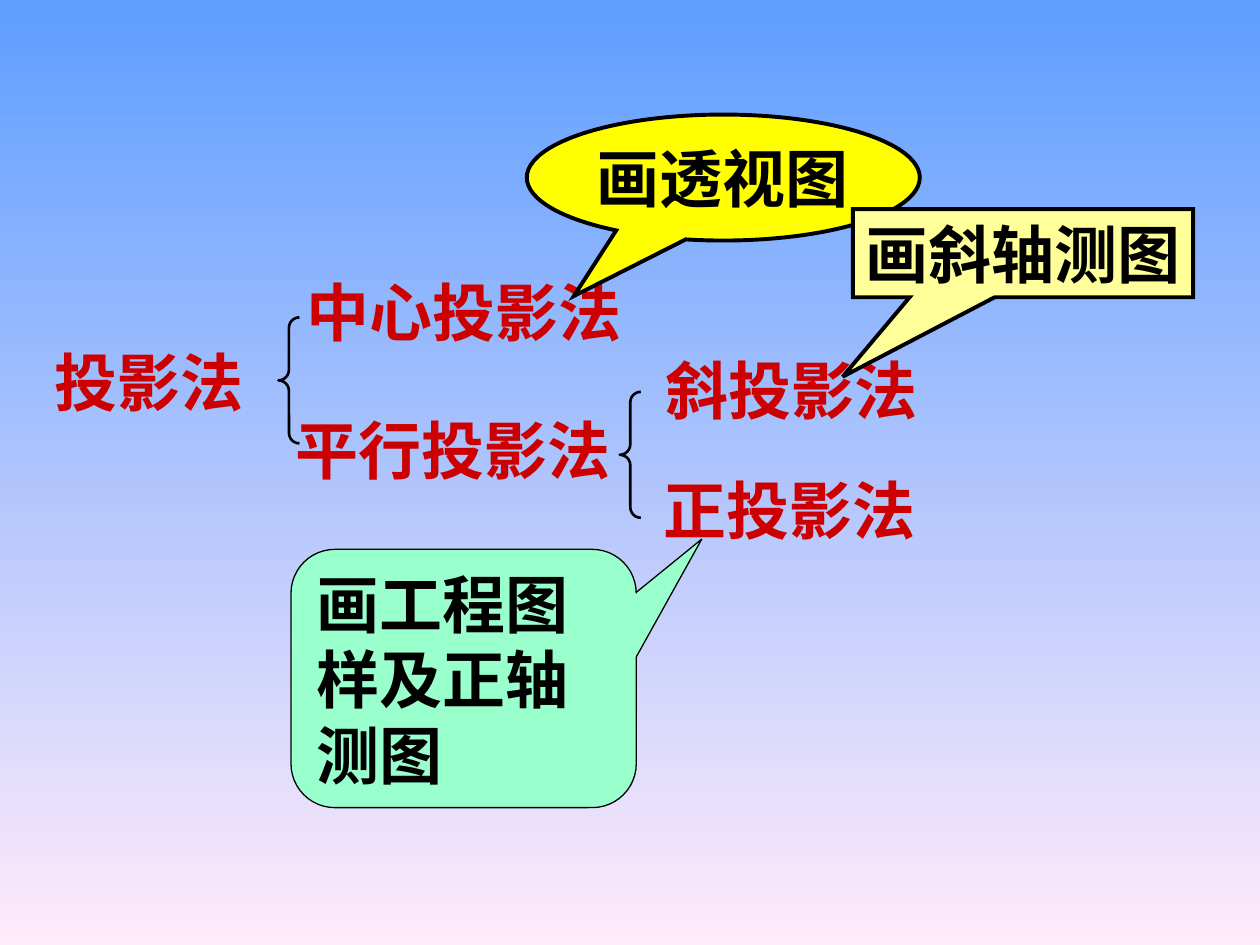
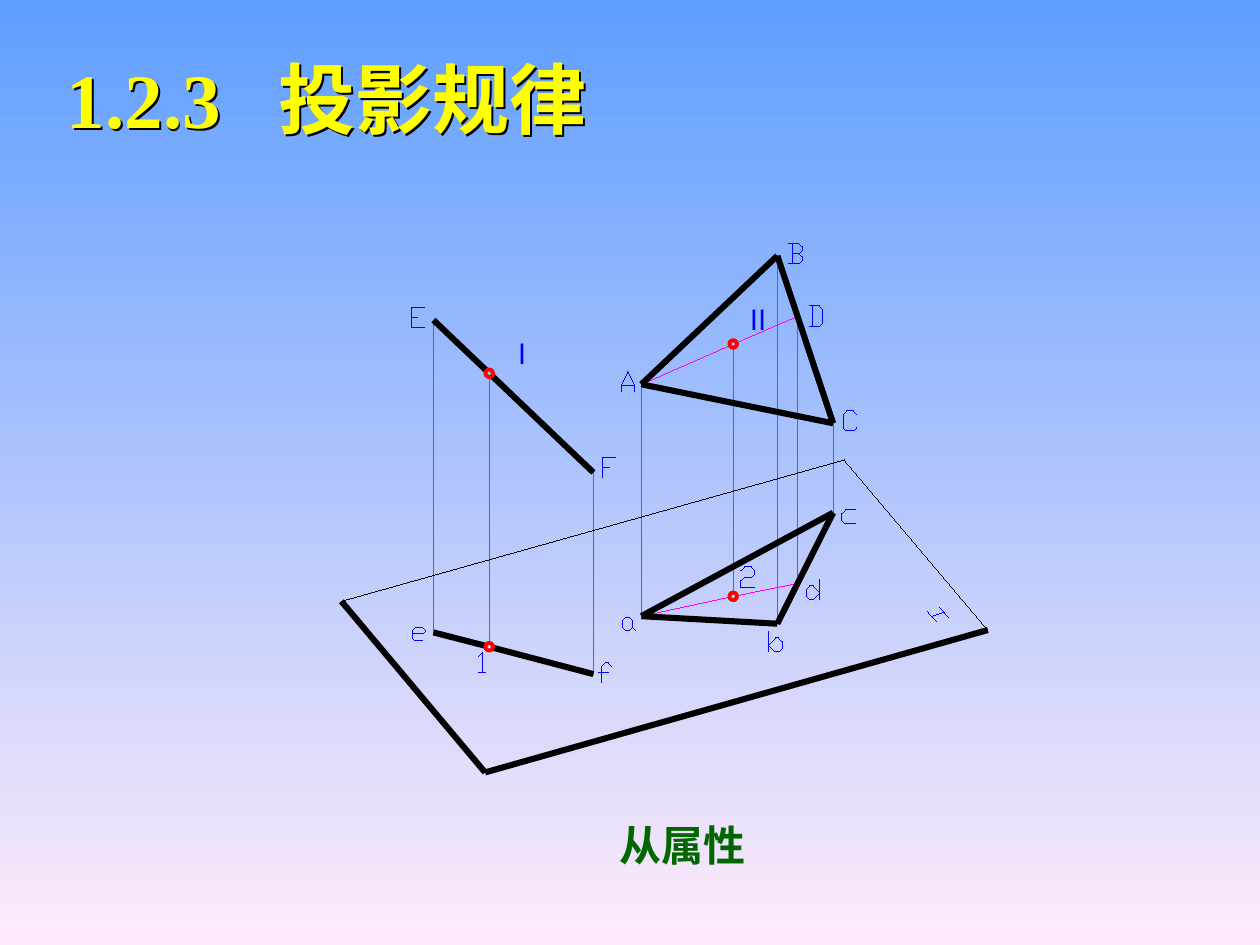
"""Build two slides on projection methods and projection rules."""
import math

import pptx
import pptx.dml.color
import pptx.enum.shapes
import pptx.enum.text
import pptx.oxml
import pptx.oxml.ns
import pptx.util
from lxml import etree

Pt = pptx.util.Pt
qn = pptx.oxml.ns.qn
SHAPE = pptx.enum.shapes.MSO_SHAPE
ALIGN = pptx.enum.text.PP_ALIGN
ANCHOR = pptx.enum.text.MSO_ANCHOR

COLORS = {
    "sky": "5E9EFF", "blush": "FFEBFA", "term": "CC0000", "ink": "000000",
    "yellow": "FFFF00", "cream": "FFFF99", "mint": "99FFCC", "ray": "FF00FF",
    "ring": "FF0000", "letter": "0000FF", "caption": "006600",
}
SERIF, SANS = "Times New Roman", "Noto Sans CJK SC"
HEAVY, HAIR = 3.5, 0
RING = 2.16
UNIT = 1.92

POINTS = {
    "A": (366.5, 219.6), "B": (444.2, 146.2), "C": (476.1, 241.9),
    "D": (455.8, 180.7), "E": (247.7, 182.9), "F": (339.1, 270),
    "M": (279.6, 213.3), "N": (419, 196.6),
    "a": (366.5, 352.1), "b": (444.2, 356.4), "c": (476.1, 293),
    "d": (455.8, 333.4), "e": (247.7, 361.4), "f": (339.1, 385.2),
    "m": (279.6, 369.6), "n": (419, 340.8),
}
RINGS = "MmNn"
PLANE = [(195.1, 343.6), (277.2, 441.4), (564.5, 360), (482.4, 262.8)]
PLANE_LABEL = [((535, 355), (529.9, 349.2)), ((532.8, 352.1), (539.3, 349.9)),
               ((537.1, 347), (542.2, 352.8))]
LETTERS = [
    (234.9, 175.7, ["06 00 40", "03 23", "06 46"]),
    (344.2, 261.2, ["06 00 40", "03 23"]),
    (235.6, 358.4, ["02 32 41 30 10 01 03 14 34"]),
    (342, 378.7, ["03 33", "41 30 20 11 16"]),
    (273.6, 373, ["01 10 16", "06 26"]),
    (355, 212.4, ["06 04 20 44 46", "04 44"]),
    (450.7, 139, ["06 36 45 44 33 13", "33 42 41 30 00", "10 16"]),
    (481.9, 234.7, ["45 36 16 05 01 10 30 41"]),
    (355.7, 352.6, ["24 14 03 01 10 20 31 33 24", "33 44"]),
    (439.2, 360.7, ["06 00", "04 22 32 43 45 36 26 04"]),
    (481, 291.4, ["40 10 01 03 14 44"]),
    (462.4, 174.8, ["06 36 45 41 30 00", "10 16"]),
    (460.8, 331, ["44 26 16 05 03 12 22 44", "40 46"]),
    (423.4, 324, ["01 10 30 41 42 33 13 04 06 46"]),
]


def rgb(name):
    """Return the named colour."""
    return pptx.dml.color.RGBColor.from_string(COLORS[name])


def write(tf, text, size=36, color="term", font=SERIF, bold=True, align=ALIGN.LEFT,
          anchor=ANCHOR.TOP, wrap=True, inset=(7.2, 3.6), tab=None):
    """Put one formatted paragraph into a text frame."""
    tf.word_wrap, tf.vertical_anchor = wrap, anchor
    tf.auto_size = pptx.enum.text.MSO_AUTO_SIZE.NONE
    tf.margin_left = tf.margin_right = Pt(inset[0])
    tf.margin_top = tf.margin_bottom = Pt(inset[1])
    p = tf.paragraphs[0]
    p.alignment = align
    if tab:
        tabs = etree.SubElement(p._p.get_or_add_pPr(), qn("a:tabLst"))
        etree.SubElement(tabs, qn("a:tab"), pos=str(Pt(tab)), algn="l")
    r = p.add_run()
    r.text = text
    r.font.size, r.font.bold, r.font.name = Pt(size), bold, font
    r.font.color.rgb = rgb(color)
    rpr = r._r.get_or_add_rPr()
    rpr.find(qn("a:latin")).addnext(rpr.makeelement(qn("a:ea"), {"typeface": SANS}))


class Deck:
    """Hold the presentation, its style and the current slide."""

    def __init__(self):
        """Set the page size and the shared background."""
        self.prs = pptx.Presentation()
        self.prs.slide_width, self.prs.slide_height = Pt(720), Pt(540)
        fill = self.prs.slide_master.background.fill
        fill.gradient()
        fill.gradient_angle = 270
        for stop, position, name in zip(fill.gradient_stops, (0, 1), ("sky", "blush")):
            stop.position, stop.color.rgb = position, rgb(name)

    def add_slide(self, layout):
        """Start a new slide."""
        self.s = self.prs.slides.add_slide(self.prs.slide_layouts[layout])

    def title(self, text, at, **fmt):
        """Fill and move the title placeholder and give its text a shadow."""
        sp = self.s.shapes.title
        sp.left, sp.top, sp.width, sp.height = map(Pt, at)
        sp.fill.background()
        effects = etree.SubElement(sp._element.spPr, qn("a:effectLst"))
        shadow = etree.SubElement(effects, qn("a:outerShdw"), dist=str(Pt(1.5)),
                                  dir="2700000", algn="ctr", rotWithShape="0")
        etree.SubElement(shadow, qn("a:srgbClr"), val=COLORS["ink"])
        write(sp.text_frame, text, **fmt)

    def text(self, text, at, **fmt):
        """Add a text box."""
        write(self.s.shapes.add_textbox(*map(Pt, at)).text_frame, text, **fmt)

    def stroke(self, sp, color, width):
        """Set the outline of a shape or connector."""
        sp.line.color.rgb = rgb(color)
        sp._element.spPr.find(qn("a:ln")).set("w", str(int(Pt(width))))

    def shape(self, kind, at, color="ink", width=1.5, fill=None, adj=()):
        """Add a preset shape."""
        sp = self.s.shapes.add_shape(kind, *map(Pt, at))
        sp.shadow.inherit = False
        for i, value in enumerate(adj):
            sp.adjustments[i] = value
        if fill:
            sp.fill.solid()
            sp.fill.fore_color.rgb = rgb(fill)
        else:
            sp.fill.background()
        self.stroke(sp, color, width)
        return sp

    def callout(self, kind, text, at, fill, adj, width=2.25, **fmt):
        """Add a speech bubble with text."""
        sp = self.shape(kind, at, width=width, fill=fill, adj=adj)
        etree.SubElement(sp._element.spPr.find(qn("a:ln")), qn("a:miter"), lim="800000")
        write(sp.text_frame, text, color="ink", anchor=ANCHOR.MIDDLE, **fmt)

    def line(self, start, end, color="ink", width=HAIR):
        """Add a straight line."""
        sp = self.s.shapes.add_connector(
            pptx.enum.shapes.MSO_CONNECTOR.STRAIGHT, *map(Pt, (*start, *end)))
        self.stroke(sp, color, width)
        etree.SubElement(sp._element.spPr, qn("a:effectLst"))

    def polyline(self, points, color, width=HAIR):
        """Add an open outline, or a line when there are two points."""
        if len(points) == 2:
            self.line(*points, color, width)
            return
        pts = [(Pt(x), Pt(y)) for x, y in points]
        fb = self.s.shapes.build_freeform(*pts[0])
        fb.add_line_segments(pts[1:], close=False)
        sp = fb.convert_to_shape()
        sp.shadow.inherit = False
        sp.fill.background()
        self.stroke(sp, color, width)

    def edge(self, pair, color="ink", width=HEAVY):
        """Join two named points, stopping short at rings."""
        (x1, y1), (x2, y2) = (POINTS[k] for k in pair)
        length = math.hypot(x2 - x1, y2 - y1)
        dx, dy = (x2 - x1) * RING / length, (y2 - y1) * RING / length
        i, j = (k in RINGS for k in pair)
        self.line((x1 + i * dx, y1 + i * dy), (x2 - j * dx, y2 - j * dy), color, width)


def methods_slide(deck):
    """Draw the tree of projection methods."""
    deck.add_slide(6)
    deck.text("投影法", (23.8, 193, 135.4, 50.4))
    deck.text("中心投影法", (167.8, 152.6, 246.2, 50.4))
    deck.text("平行投影法", (162, 231.8, 194.4, 50.4), wrap=False)
    deck.text("正投影法", (372.2, 265.7, 277.2, 50.4), anchor=ANCHOR.MIDDLE)
    deck.text("斜投影法", (342, 197.3, 221, 50.4), anchor=ANCHOR.MIDDLE, align=ALIGN.CENTER)
    deck.callout(SHAPE.OVAL_CALLOUT, "画透视图", (301, 65.5, 224.6, 72), "yellow",
                 (-0.38, 0.94), wrap=False)
    deck.callout(SHAPE.RECTANGULAR_CALLOUT, "画斜轴测图", (487.4, 119.5, 194.4, 50.4),
                 "cream", (-0.53, 1.4), wrap=False, align=ALIGN.CENTER)
    deck.callout(SHAPE.ROUNDED_RECTANGULAR_CALLOUT, "画工程图样及正轴测图",
                 (166.3, 313.9, 197.3, 147.6), "mint", (0.69, -0.54, 0.17), width=0.75)
    for x, y in ((159.1, 181.4), (354.2, 223.9)):
        deck.shape(SHAPE.LEFT_BRACE, (x, y, 12, 72), adj=(0.5, 0.5))


def rules_slide(deck):
    """Draw a segment and a triangle projected onto a plane."""
    deck.add_slide(5)
    deck.title("1.2.3\t投影规律", (31, 25.9, 360, 60.5), size=44, color="yellow", tab=121)
    for k in "ABCDEFMN":
        deck.edge(k + k.lower(), "ray", HAIR)
    for pair in ("AN", "ND", "an", "nd"):
        deck.edge(pair, "ray", HAIR)
    for pair in ("AB", "BC", "CA", "ab", "bc", "ca", "EM", "MF", "em", "mf"):
        deck.edge(pair)
    for i, width in enumerate((HEAVY, HEAVY, HAIR, HAIR)):
        deck.line(PLANE[i], PLANE[(i + 1) % 4], width=width)
    for k in RINGS:
        x, y = POINTS[k]
        deck.shape(SHAPE.OVAL, (x - RING, y - RING, 2 * RING, 2 * RING), "ring", 2.25)
    for x, y, strokes in LETTERS:
        for stroke in strokes:
            deck.polyline([(x + int(u) * UNIT, y + int(v) * UNIT)
                           for u, v in stroke.split()], "letter")
    for start, end in PLANE_LABEL:
        deck.line(start, end, "letter")
    label = dict(font=SANS, inset=(0, 0), wrap=False, align=ALIGN.CENTER)
    deck.text("从属性", (354.2, 468.3, 72, 28.8), size=24, color="caption", **label)
    for text, at in (("Ⅰ", (296, 192.2, 5, 19.4)), ("Ⅱ", (429.5, 172.8, 7.9, 19.4))):
        deck.text(text, at, size=16, color="letter", bold=False, **label)


def main():
    """Build and save the deck."""
    deck = Deck()
    methods_slide(deck)
    rules_slide(deck)
    deck.prs.save("out.pptx")


if __name__ == "__main__":
    main()
